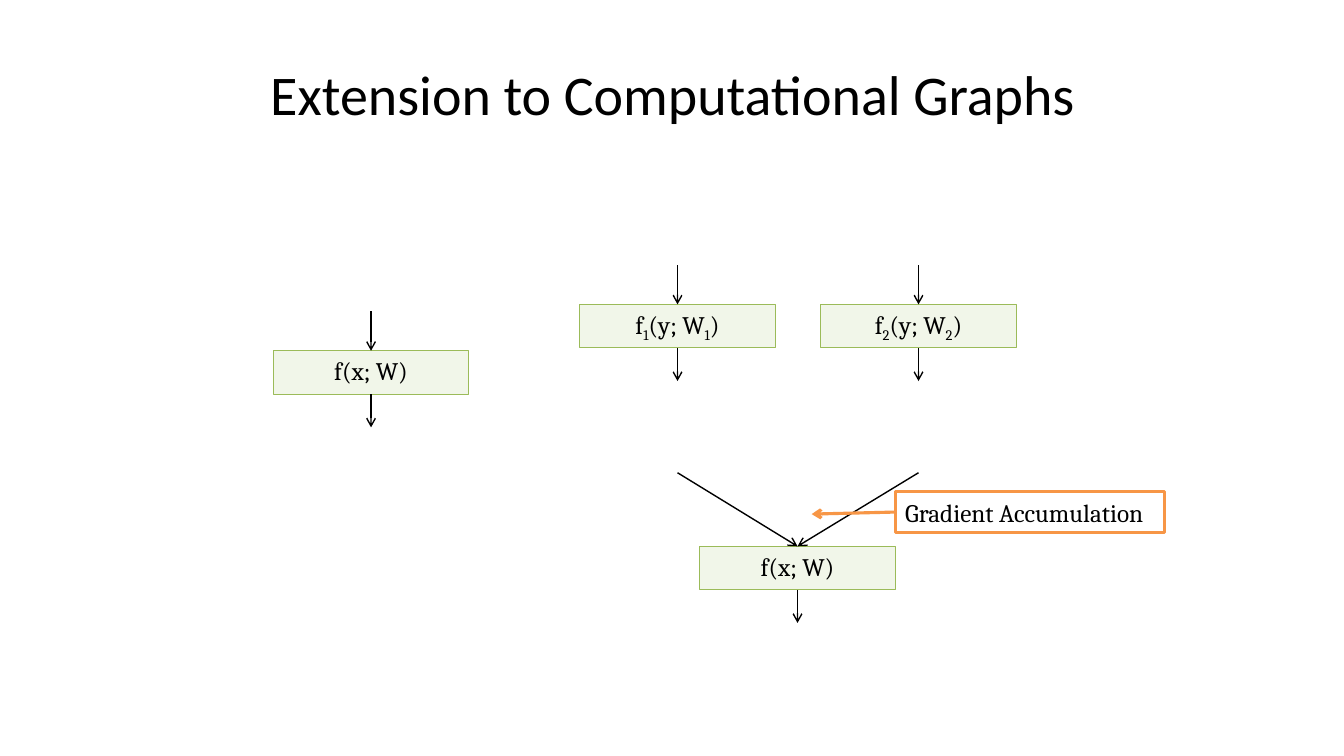
"""Build the slide on extending backpropagation to computational graphs."""
from dataclasses import dataclass

from lxml.etree import SubElement
from pptx import Presentation
from pptx.dml.color import RGBColor
from pptx.enum.shapes import MSO_CONNECTOR, MSO_SHAPE
from pptx.enum.text import MSO_ANCHOR, MSO_AUTO_SIZE, PP_ALIGN
from pptx.oxml.ns import qn
from pptx.shapes.autoshape import Shape
from pptx.shapes.connector import Connector
from pptx.slide import Slide
from pptx.text.text import _Paragraph as Paragraph
from pptx.util import Inches, Pt

COLORS = {"text": "000000", "fill": "D7E4BD", "border": "9BBB59", "accent": "F79646"}
NODE_WIDTH, NODE_HEIGHT = 1.94, 0.43
OUTPUT_LENGTH, INPUT_RISE, MERGE_RISE = 0.33, 0.39, 0.73
TOP, LEFT, BOTTOM = 0, 1, 2


@dataclass(frozen=True)
class Span:
    text: str
    subscript: bool = False


@dataclass(frozen=True)
class Node:
    left: float
    top: float
    spans: tuple[Span, ...]
    sources: tuple[tuple[float, float], ...]

    @property
    def center(self) -> float:
        return self.left + NODE_WIDTH / 2


def single_input(left: float, top: float, spans: tuple[Span, ...]) -> Node:
    return Node(left, top, spans, ((left + NODE_WIDTH / 2, top - INPUT_RISE),))


def indexed_function(index: str) -> tuple[Span, ...]:
    return (Span("f"), Span(index, True), Span("(y; W"), Span(index, True), Span(")"))


PLAIN_FUNCTION = (Span("f(x; W)"),)
SINGLE = single_input(2.71, 3.48, PLAIN_FUNCTION)
FIRST = single_input(5.75, 3.02, indexed_function("1"))
SECOND = single_input(8.14, 3.02, indexed_function("2"))
MERGED_TOP = 5.42
MERGED = Node(
    6.94,
    MERGED_TOP,
    PLAIN_FUNCTION,
    tuple((branch.center, MERGED_TOP - MERGE_RISE) for branch in (FIRST, SECOND)),
)


def color(name: str) -> RGBColor:
    return RGBColor.from_string(COLORS[name])


def add_span(para: Paragraph, span: Span, font: str = "Cambria", size: float = 18) -> None:
    run = para.add_run()
    run.text = span.text
    run.font.name = font
    run.font.size = Pt(size)
    run.font.color.rgb = color("text")
    if span.subscript:
        run.font._element.set("baseline", "-25000")


def add_rectangle(page: Slide, left: float, top: float, width: float, height: float,
                  border: str, weight: float) -> Shape:
    box = page.shapes.add_shape(
        MSO_SHAPE.RECTANGLE, Inches(left), Inches(top), Inches(width), Inches(height))
    box.shadow.inherit = False
    box.line.color.rgb = color(border)
    box.line.width = Pt(weight)
    box.text_frame.vertical_anchor = MSO_ANCHOR.TOP
    return box


def add_arrow(page: Slide, tip: tuple[float, float], origin: tuple[float, float],
              line_color: str = "text", weight: float = 1) -> Connector:
    arrow = page.shapes.add_connector(
        MSO_CONNECTOR.STRAIGHT, *(Inches(value) for value in (*tip, *origin)))
    arrow.line.color.rgb = color(line_color)
    arrow.line.width = Pt(weight)
    SubElement(arrow.line._get_or_add_ln(), qn("a:headEnd"), type="arrow")
    SubElement(arrow._element.spPr, qn("a:effectLst"))
    return arrow


def add_title(page: Slide) -> None:
    box = page.shapes.add_textbox(Inches(0.67), Inches(0.3), Inches(12), Inches(1.25))
    box.text_frame.word_wrap = True
    box.text_frame.vertical_anchor = MSO_ANCHOR.MIDDLE
    para = box.text_frame.paragraphs[0]
    para.alignment = PP_ALIGN.CENTER
    add_span(para, Span("Extension to Computational Graphs"), "Calibri", 40)


def add_node(page: Slide, node: Node) -> None:
    box = add_rectangle(page, node.left, node.top, NODE_WIDTH, NODE_HEIGHT, "border", 0.75)
    box.fill.solid()
    box.fill.fore_color.rgb = color("fill")
    fill_color = box._element.spPr.find(qn("a:solidFill")).find(qn("a:srgbClr"))
    SubElement(fill_color, qn("a:alpha"), val="33000")
    para = box.text_frame.paragraphs[0]
    para.alignment = PP_ALIGN.CENTER
    for span in node.spans:
        add_span(para, span)

    bottom = node.top + NODE_HEIGHT
    output = add_arrow(page, (node.center, bottom + OUTPUT_LENGTH), (node.center, bottom))
    output.end_connect(box, BOTTOM)
    for source in node.sources:
        arrow = add_arrow(page, (node.center, node.top), source)
        arrow.begin_connect(box, TOP)


def add_gradient_label(page: Slide) -> None:
    box = add_rectangle(page, 8.88, 4.88, 2.67, 0.4, "accent", 2.25)
    box.fill.background()
    box.text_frame.word_wrap = False
    box.text_frame.auto_size = MSO_AUTO_SIZE.SHAPE_TO_FIT_TEXT
    para = box.text_frame.paragraphs[0]
    para.alignment = PP_ALIGN.LEFT
    add_span(para, Span("Gradient Accumulation"))
    arrow = add_arrow(page, (8.05, 5.1), (8.88, 5.08), "accent", 2.25)
    arrow.end_connect(box, LEFT)


def main() -> None:
    deck = Presentation()
    deck.slide_width, deck.slide_height = Inches(13.33), Inches(7.5)
    page = deck.slides.add_slide(deck.slide_layouts[6])
    add_title(page)
    for node in (SINGLE, FIRST, SECOND, MERGED):
        add_node(page, node)
    add_gradient_label(page)
    deck.save("out.pptx")


if __name__ == "__main__":
    main()
